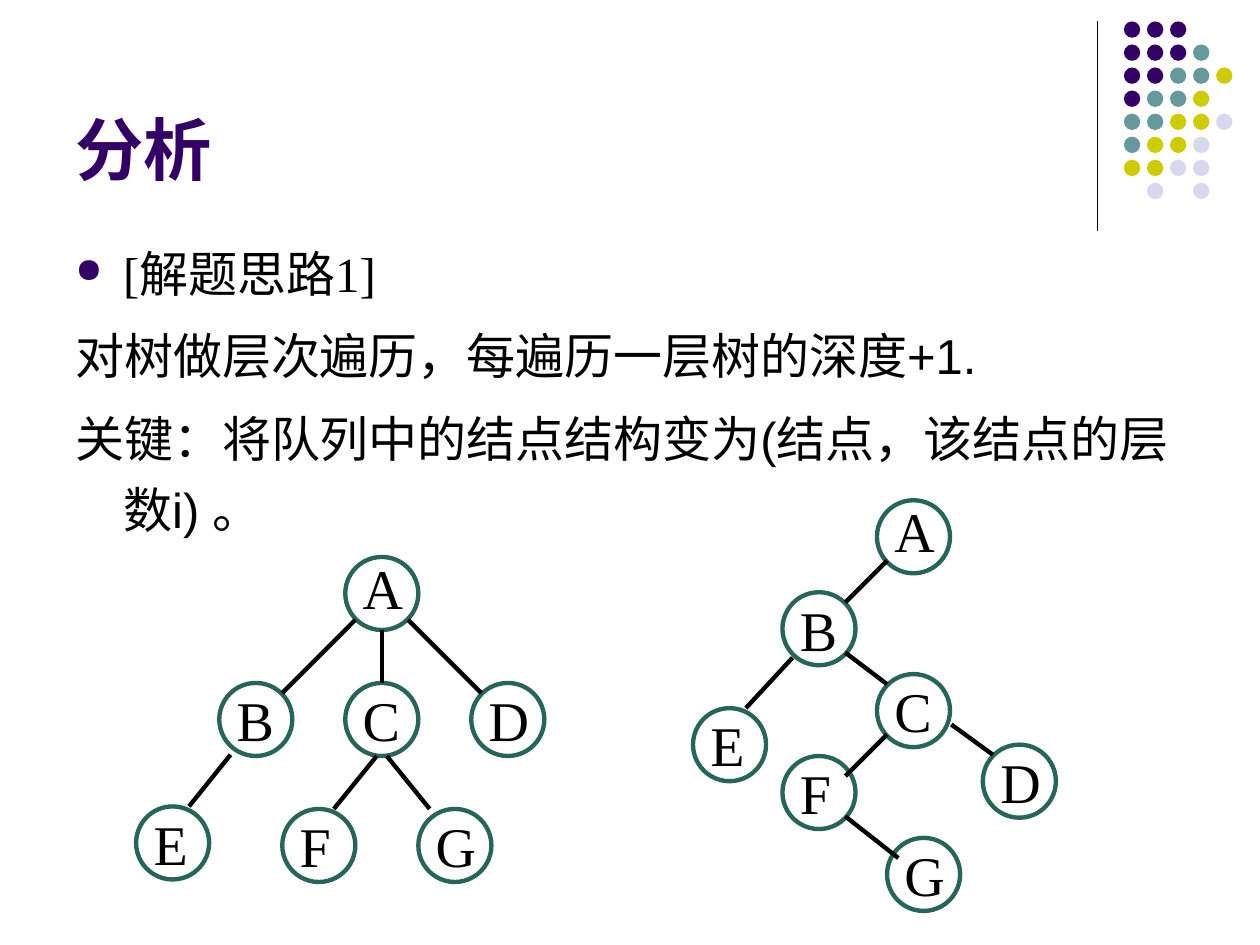
from dataclasses import dataclass

from lxml import etree
from pptx import Presentation
from pptx import util as u
from pptx.dml.color import RGBColor
from pptx.enum import shapes, text
from pptx.oxml import ns
from pptx.util import Inches

BLACK = RGBColor(0x00, 0x00, 0x00)
PURPLE = RGBColor(0x33, 0x00, 0x66)
TEAL = RGBColor(0x66, 0x99, 0x99)
OLIVE = RGBColor(0xCC, 0xCC, 0x00)
LAVENDER = RGBColor(0xD8, 0xD8, 0xEC)
GREEN = RGBColor(0x26, 0x66, 0x5A)

SANS = "Arial"
SERIF = "Times New Roman"

# One letter per dot, a blank where there is none
DOT_ROWS = ["PPP", "PPPT", "PPTTO", "PTTO", "TTOOL", "TOOL", "OOLL", " L L"]
DOT_COLORS = {"P": PURPLE, "T": TEAL, "O": OLIVE, "L": LAVENDER}
DOT_SIZE, DOT_PITCH = 0.13, 0.18
NODE_SIZE = 0.58


@dataclass
class Node:
    label: str
    left: float
    top: float


@dataclass
class Edge:
    x1: float
    y1: float
    x2: float
    y2: float


@dataclass
class Tree:
    nodes: list[Node]
    edges: list[Edge]


@dataclass
class BodyLine:
    content: str
    font: str = SANS
    spacing: float = 1.2
    bullet: bool = False


BINARY_TREE = Tree(
    [Node("A", 6.96, 3.97), Node("C", 6.96, 5.35), Node("B", 6.21, 4.7),
     Node("G", 7.04, 6.65), Node("D", 7.8, 5.91), Node("F", 6.21, 6),
     Node("E", 5.5, 5.62)],
    [Edge(7.04, 4.45, 6.71, 4.78), Edge(6.71, 5.18, 7.04, 5.43),
     Edge(7.04, 5.83, 6.71, 6.16), Edge(6.71, 6.48, 7.13, 6.81),
     Edge(7.55, 5.75, 7.88, 5.99), Edge(6.29, 5.22, 5.92, 5.62)],
)
GENERAL_TREE = Tree(
    [Node("A", 2.74, 4.42), Node("C", 2.74, 5.42), Node("B", 1.74, 5.42),
     Node("G", 3.32, 6.42), Node("D", 3.74, 5.42), Node("F", 2.24, 6.42),
     Node("E", 1.08, 6.4)],
    [Edge(3.03, 5, 3.03, 5.42), Edge(2.82, 4.92, 2.24, 5.5),
     Edge(3.24, 4.92, 3.82, 5.5), Edge(2.99, 6, 2.65, 6.42),
     Edge(3.07, 6, 3.41, 6.42), Edge(1.83, 5.99, 1.5, 6.4)],
)
BODY_LINES = [
    BodyLine("[解题思路1]", SERIF, 1.0, True),
    BodyLine("对树做层次遍历，每遍历一层树的深度+1."),
    BodyLine("关键：将队列中的结点结构变为(结点，该结点的层数i) 。"),
]


def add_line(container, edge: Edge, width: float) -> None:
    line = container.add_connector(
        shapes.MSO_CONNECTOR.STRAIGHT,
        Inches(edge.x1), Inches(edge.y1), Inches(edge.x2), Inches(edge.y2))
    line.line.color.rgb = BLACK
    line.line.width = u.Pt(width)
    etree.SubElement(line._element.spPr, ns.qn("a:effectLst"))


def add_circle(container, left: float, top: float, size: float):
    circle = container.add_shape(
        shapes.MSO_SHAPE.OVAL, Inches(left), Inches(top), Inches(size), Inches(size))
    circle.shadow.inherit = False
    return circle


def add_frame(container, left: float, top: float, width: float, height: float):
    box = container.add_textbox(Inches(left), Inches(top), Inches(width), Inches(height))
    box.text_frame.word_wrap = True
    return box.text_frame


def add_run(paragraph, content: str, size: float, font: str,
            color: RGBColor = BLACK, bold: bool = False) -> None:
    run = paragraph.add_run()
    run.text = content
    run.font.size = u.Pt(size)
    run.font.name = font
    run.font.color.rgb = color
    run.font.bold = bold


def add_bullet(paragraph) -> None:
    properties = paragraph._p.get_or_add_pPr()
    color = etree.SubElement(properties, ns.qn("a:buClr"))
    etree.SubElement(color, ns.qn("a:srgbClr"), val=str(PURPLE))
    etree.SubElement(properties, ns.qn("a:buSzPct"), val="70000")
    etree.SubElement(properties, ns.qn("a:buChar"), char="●")


def add_tree(slide, tree: Tree) -> None:
    group = slide.shapes.add_group_shape().shapes
    for node in tree.nodes:
        circle = add_circle(group, node.left, node.top, NODE_SIZE)
        circle.fill.background()
        circle.line.color.rgb = GREEN
        circle.line.width = u.Pt(2.5)
        frame = add_frame(group, node.left + 0.04, node.top - 0.08, NODE_SIZE, 0.69)
        paragraph = frame.paragraphs[0]
        paragraph.space_before = u.Pt(20)
        paragraph.line_spacing = 1.0 if node.label == "A" else 1.1
        add_run(paragraph, node.label, 32, SERIF)
    for edge in tree.edges:
        add_line(group, edge, 2.5)


def add_dots(slide) -> None:
    group = slide.shapes.add_group_shape().shapes
    for row, letters in enumerate(DOT_ROWS):
        for column, letter in enumerate(letters):
            if letter in DOT_COLORS:
                dot = add_circle(group, 8.92 + column * 0.183, 0.17 + row * 0.183, DOT_SIZE)
                dot.fill.solid()
                dot.fill.fore_color.rgb = DOT_COLORS[letter]
                dot.line.fill.background()


def add_body(slide) -> None:
    frame = add_frame(slide.shapes, 0.5, 1.88, 9, 4.82)
    for index, line in enumerate(BODY_LINES):
        paragraph = frame.add_paragraph() if index else frame.paragraphs[0]
        paragraph.space_before = u.Pt(7)
        paragraph.line_spacing = line.spacing
        properties = paragraph._p.get_or_add_pPr()
        properties.set("marL", str(Inches(0.38)))
        properties.set("indent", str(Inches(-0.38)))
        if line.bullet:
            add_bullet(paragraph)
        add_run(paragraph, line.content, 28, line.font)


def main() -> None:
    presentation = Presentation()
    presentation.slide_width, presentation.slide_height = Inches(10), Inches(7.5)
    slide = presentation.slides.add_slide(presentation.slide_layouts[6])

    # Corner decoration
    add_line(slide.shapes, Edge(8.71, 0.17, 8.71, 1.83), 0.75)
    add_dots(slide)

    # Title and body text
    title = add_frame(slide.shapes, 0.5, 0.13, 8.25, 1.42)
    title.vertical_anchor = text.MSO_ANCHOR.BOTTOM
    add_run(title.paragraphs[0], "分析", 39, SANS, PURPLE, True)
    add_body(slide)

    # Trees
    for tree in (BINARY_TREE, GENERAL_TREE):
        add_tree(slide, tree)

    presentation.save("out.pptx")


if __name__ == "__main__":
    main()
